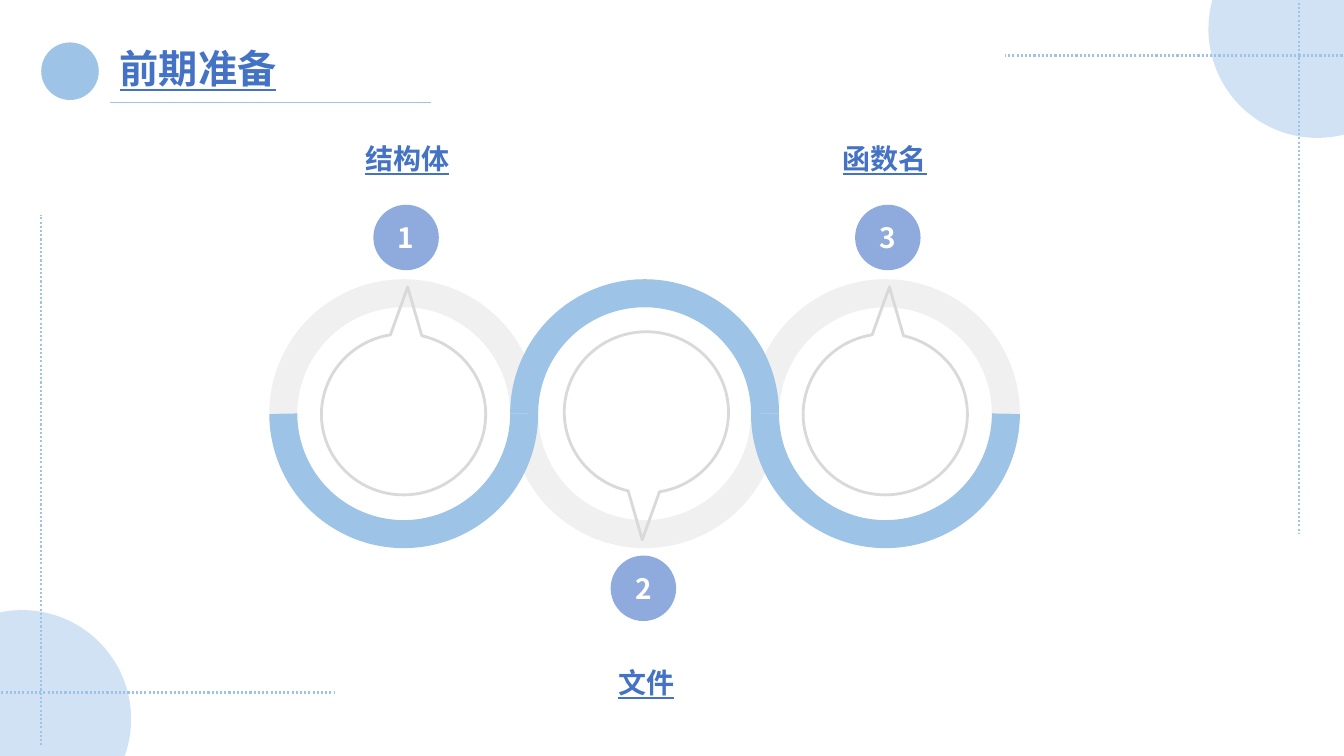
from lxml.etree import SubElement
from pptx import Presentation
from pptx.dml.color import RGBColor
from pptx.enum.dml import MSO_LINE
from pptx.enum.shapes import MSO_CONNECTOR, MSO_SHAPE
from pptx.enum.text import MSO_ANCHOR, MSO_AUTO_SIZE, PP_ALIGN
from pptx.oxml.ns import qn
from pptx.util import Cm, Pt

FONT = "Noto Sans CJK SC"
COLORS = {
    "sky": "9DC3E6",
    "pale": "BDD7EE",
    "badge": "8FAADC",
    "heading": "4472C4",
    "track": "404040",
    "outline": "D9D9D9",
    "white": "FFFFFF",
}
RING = 6.07
BADGE = 1.65
CORNER = 5.49
UPPER_ARC = (108, 0)
LOWER_ARC = (0, 108)


def color(name):
    return RGBColor.from_string(COLORS[name])


def add_figure(slide, kind, box, fill=None, line=None, width=1, opacity=100):
    shape = slide.shapes.add_shape(kind, *map(Cm, box))
    shape.shadow.inherit = False
    if fill:
        shape.fill.solid()
        shape.fill.fore_color.rgb = color(fill)
    else:
        shape.fill.background()
    if line:
        shape.line.color.rgb = color(line)
        shape.line.width = Pt(width)
    else:
        shape.line.fill.background()
    if opacity < 100:
        for element in list(shape._element.spPr.iter(qn("a:srgbClr"))):
            SubElement(element, qn("a:alpha")).set("val", str(opacity * 1000))
    return shape


def add_line(slide, start, end, width, dash=None):
    connector = slide.shapes.add_connector(
        MSO_CONNECTOR.STRAIGHT, *map(Cm, (*start, *end))
    )
    connector.line.color.rgb = color("sky")
    connector.line.width = Pt(width)
    if dash:
        connector.line.dash_style = dash
    SubElement(connector._element.spPr, qn("a:effectLst"))


def write(paragraph, text, size, name, alignment, underline=False):
    paragraph.alignment = alignment
    run = paragraph.add_run()
    run.text = text
    run.font.name = FONT
    run.font.size = Pt(size)
    run.font.bold = True
    run.font.underline = underline
    run.font.color.rgb = color(name)
    SubElement(run._r.get_or_add_rPr(), qn("a:ea")).set("typeface", FONT)


def add_heading(slide, box, text, size, alignment, spacing=1.0):
    frame = slide.shapes.add_textbox(*map(Cm, box)).text_frame
    frame.word_wrap = True
    frame.auto_size = MSO_AUTO_SIZE.SHAPE_TO_FIT_TEXT
    paragraph = frame.paragraphs[0]
    paragraph.line_spacing = spacing
    write(paragraph, text, size, "heading", alignment, underline=True)


def add_arc(slide, left, top, angles, line, opacity=100):
    arc = add_figure(slide, MSO_SHAPE.ARC, (left, top, RING, RING),
                     line=line, width=20, opacity=opacity)
    arc.adjustments[0], arc.adjustments[1] = angles


def add_step(slide, left, top, number, label, label_offset, label_width, upward):
    inset = (0.96, 1.02) if upward else (1.01, 0.97)
    callout = add_figure(slide, MSO_SHAPE.OVAL_CALLOUT,
                         (left + inset[0], top + inset[1], 4.14, 4.06),
                         line="outline", width=2)
    callout.adjustments[0], callout.adjustments[1] = -0.025, 0.791
    callout.rotation = 180 if upward else 0

    badge_left, badge_top = (2.27, -2.23) if upward else (2.18, 6.61)
    badge = add_figure(slide, MSO_SHAPE.OVAL,
                       (left + badge_left, top + badge_top, BADGE, BADGE), "badge")
    frame = badge.text_frame
    frame.vertical_anchor = MSO_ANCHOR.MIDDLE
    write(frame.paragraphs[0], str(number), 20, "white", PP_ALIGN.CENTER)

    label_top = top + (-4.36 if upward else 8.84)
    add_heading(slide, (left + label_offset, label_top, label_width, 1.52),
                label, 20, PP_ALIGN.CENTER, 1.5)


def add_chain(slide, left, top):
    steps = [("结构体", 1.27, 3.71), ("文件", 0.91, 4.34), ("函数名", 0.74, 4.55)]
    layers = [("track", 8, (UPPER_ARC, LOWER_ARC)),
              ("sky", 100, (LOWER_ARC, UPPER_ARC))]
    for line, opacity, arcs in layers:
        for index in range(len(steps)):
            add_arc(slide, left + index * RING, top, arcs[index % 2], line, opacity)
    for index, (label, offset, width) in enumerate(steps):
        add_step(slide, left + index * RING, top, index + 1,
                 label, offset, width, index % 2 == 0)


def add_corner(slide, x, y, direction):
    add_figure(slide, MSO_SHAPE.OVAL,
               (x - CORNER / 2, y - CORNER / 2, CORNER, CORNER), "pale", opacity=70)
    cross_x, cross_y = x + 0.47 * direction, y - 0.67 * direction
    add_line(slide, (x - 0.74 * direction, cross_y),
             (x + 7.87 * direction, cross_y), 1.5, MSO_LINE.ROUND_DOT)
    add_line(slide, (cross_x, y + 0.66 * direction),
             (cross_x, y - 12.7 * direction), 1.5, MSO_LINE.ROUND_DOT)


def add_title(slide, left, top, width):
    add_figure(slide, MSO_SHAPE.OVAL, (left, top, 1.45, 1.45), "sky")
    text_left = left + 1.73
    add_line(slide, (text_left, top + 1.52), (left + width, top + 1.52), 0.5)
    add_heading(slide, (text_left, top - 0.07, width - 1.73, 1.45),
                "前期准备", 28, PP_ALIGN.JUSTIFY)


def main():
    presentation = Presentation()
    presentation.slide_width = Cm(33.87)
    presentation.slide_height = Cm(19.05)
    slide = presentation.slides.add_slide(presentation.slide_layouts[6])
    add_chain(slide, 7.14, 7.39)
    add_corner(slide, 33.2, 0.73, -1)
    add_corner(slide, 0.56, 18.12, 1)
    add_title(slide, 1.04, 1.07, 9.81)
    presentation.save("out.pptx")


if __name__ == "__main__":
    main()
